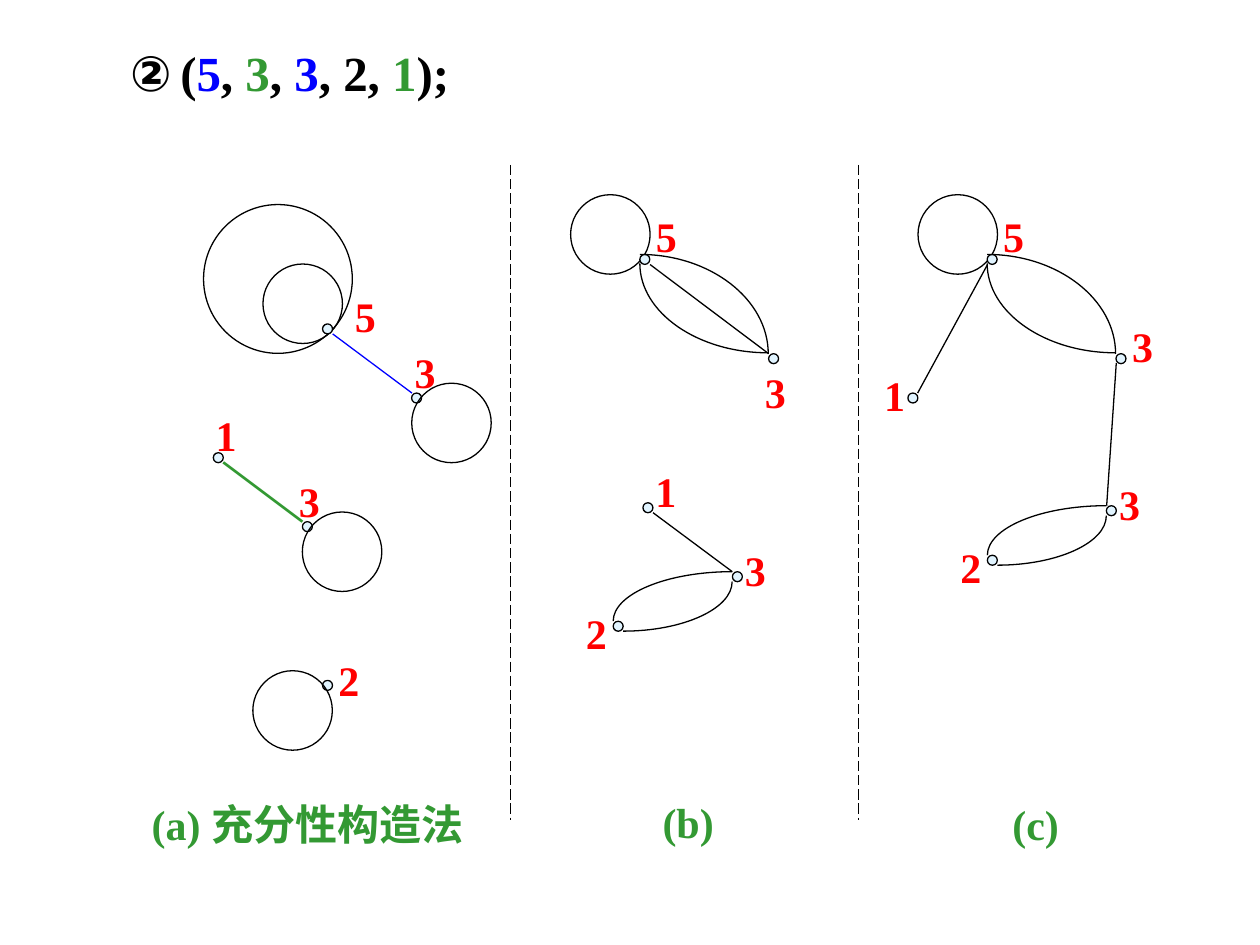
"""Build a slide that realises the degree sequence (5, 3, 3, 2, 1) as three multigraphs."""
from dataclasses import dataclass

from lxml import etree
from pptx import Presentation
from pptx.dml.color import RGBColor
from pptx.enum import dml, shapes, text
from pptx.oxml import ns
from pptx.util import Pt

BLACK = RGBColor(0x00, 0x00, 0x00)
BLUE = RGBColor(0x00, 0x00, 0xFF)
GREEN = RGBColor(0x33, 0x99, 0x33)
RED = RGBColor(0xFF, 0x00, 0x00)
PALE_BLUE = RGBColor(0xE1, 0xF4, 0xFF)

SERIF = "Times New Roman"
SANS = "Arial"
VERTEX_SIZE = 5.7
LOOP_SIZE = 45.4
LABEL_WIDTH, LABEL_HEIGHT = 25.9, 36
PANEL_SHIFT = 198.5
CURVATURE = 0.55


@dataclass(frozen=True)
class Vertex:
    degree: str
    x: float
    y: float
    label_x: float
    label_y: float


@dataclass(frozen=True)
class Loop:
    x: float
    y: float
    size: float = LOOP_SIZE


@dataclass(frozen=True)
class Edge:
    x1: float
    y1: float
    x2: float
    y2: float
    color: RGBColor = BLACK
    width: float = 0.75
    dashed: bool = False


@dataclass(frozen=True)
class Arc:
    center_x: float
    center_y: float
    radius_x: float
    radius_y: float


@dataclass(frozen=True)
class Graph:
    vertices: tuple[Vertex, ...]
    edges: tuple[Edge, ...]
    arcs: tuple[Arc, ...] = ()
    back_loops: tuple[Loop, ...] = ()
    front_loops: tuple[Loop, ...] = ()


@dataclass(frozen=True)
class Word:
    content: str
    color: RGBColor = BLACK
    size: float = 28
    font: str = SERIF


@dataclass(frozen=True)
class Caption:
    x: float
    y: float
    width: float
    word: Word


def upper_lens(x: float, y: float) -> tuple[Arc, Arc]:
    return Arc(x, y + 56.9, 73.4, -56.9), Arc(x + 73.4, y + 5.1, -73.4, 51.1)


def lower_lens(x: float, y: float) -> tuple[Arc, Arc]:
    return Arc(x + 5.7, y + 5.7, 62.3, 28.3), Arc(x + 68, y + 28.3, -68, -28.3)


GRAPHS = (
    Graph(
        vertices=(
            Vertex("5", 184.3, 185.1, 195.8, 162.5),
            Vertex("3", 235.2, 224.6, 229.9, 194.4),
            Vertex("1", 121.9, 258.7, 116.2, 230.4),
            Vertex("3", 172.8, 298.1, 163.7, 268.3),
            Vertex("2", 184.3, 388.8, 186.3, 370.6),
        ),
        edges=(
            Edge(190.1, 190.8, 235.4, 224.6, BLUE),
            Edge(127.6, 264.2, 172.8, 298.1, GREEN, 1.5),
        ),
        back_loops=(Loop(116.3, 116.9, 85), Loop(150.3, 150.9)),
        front_loops=(Loop(235.3, 219), Loop(172.8, 292.6), Loop(144.5, 383.3)),
    ),
    Graph(
        vertices=(
            Vertex("5", 365.6, 145.4, 367.7, 116.6),
            Vertex("3", 439.2, 202.1, 430, 205.9),
            Vertex("1", 367.4, 287.3, 367.5, 262.6),
            Vertex("3", 418.5, 326.7, 418.6, 307.4),
            Vertex("2", 350.4, 355, 327.8, 343.4),
        ),
        edges=(
            Edge(371.5, 151.2, 439.2, 202.1),
            Edge(373.2, 293, 418.5, 326.7),
        ),
        arcs=upper_lens(365.6, 145.4) + lower_lens(350.4, 326.7),
        back_loops=(Loop(326.1, 111.3),),
    ),
    Graph(
        vertices=(
            Vertex("5", 365.6 + PANEL_SHIFT, 145.4, 367.7 + PANEL_SHIFT, 116.6),
            Vertex("3", 637.7, 202.1, 639.8, 179.8),
            Vertex("1", 518.8, 224.6, 498.2, 207.4),
            Vertex("3", 632.2, 289, 632.4, 270),
            Vertex("2", 564.2, 317.3, 541.7, 306),
        ),
        edges=(
            Edge(564.3, 151.2, 524.4, 224.6),
            Edge(637.9, 207.4, 632.4, 289),
        ),
        arcs=upper_lens(365.6 + PANEL_SHIFT, 145.4) + lower_lens(564.2, 289),
        back_loops=(Loop(326.1 + PANEL_SHIFT, 111.3),),
    ),
)

DIVIDERS = tuple(
    Edge(x, 94.3, x, 468.7, dashed=True) for x in (291.9, 291.9 + PANEL_SHIFT)
)

TITLE = (
    Word(" ②", font=SANS), Word(" ", size=18, font=SANS), Word("("),
    Word("5", BLUE), Word(", "), Word("3", GREEN), Word(", "),
    Word("3", BLUE), Word(", 2, "), Word("1", GREEN), Word(");"),
)

CAPTIONS = (
    Caption(79.6, 452.7, 198, Word("(a) 充分性构造法", GREEN, 24)),
    Caption(371.5, 451.4, 43.9, Word("(b)", GREEN, 24)),
    Caption(571.4, 452.7, 41, Word("(c)", GREEN, 24)),
)


def add_word(paragraph, word: Word) -> None:
    run = paragraph.add_run()
    run.text = word.content
    run.font.name = word.font
    run.font.size = Pt(word.size)
    run.font.bold = True
    run.font.color.rgb = word.color


def add_caption(slide, caption: Caption) -> None:
    box = slide.shapes.add_textbox(
        Pt(caption.x), Pt(caption.y), Pt(caption.width), Pt(LABEL_HEIGHT))
    box.text_frame.word_wrap = False
    add_word(box.text_frame.paragraphs[0], caption.word)


def style_outline(shape, fill: RGBColor | None = None) -> None:
    shape.shadow.inherit = False
    shape.line.color.rgb = BLACK
    shape.line.width = Pt(0.75)
    if fill is None:
        shape.fill.background()
    else:
        shape.fill.solid()
        shape.fill.fore_color.rgb = fill


def add_circle(slide, x: float, y: float, size: float, fill: RGBColor | None = None) -> None:
    circle = slide.shapes.add_shape(
        shapes.MSO_SHAPE.OVAL, Pt(x), Pt(y), Pt(size), Pt(size))
    style_outline(circle, fill)


def add_edge(slide, edge: Edge) -> None:
    connector = slide.shapes.add_connector(
        shapes.MSO_CONNECTOR.STRAIGHT,
        Pt(edge.x1), Pt(edge.y1), Pt(edge.x2), Pt(edge.y2))
    connector.line.color.rgb = edge.color
    connector.line.width = Pt(edge.width)
    if edge.dashed:
        connector.line.dash_style = dml.MSO_LINE.LONG_DASH
    etree.SubElement(connector._element.spPr, ns.qn("a:effectLst"))


def add_arc(slide, arc: Arc) -> None:
    start, *curve = [
        (Pt(arc.center_x + arc.radius_x * across), Pt(arc.center_y + arc.radius_y * down))
        for across, down in ((1, 0), (1, CURVATURE), (CURVATURE, 1), (0, 1))
    ]
    builder = slide.shapes.build_freeform(*start)
    builder.add_line_segments(curve, close=False)
    shape = builder.convert_to_shape()
    outline = next(shape._element.iter(ns.qn("a:path")))
    segments = outline.findall(ns.qn("a:lnTo"))
    bezier = etree.SubElement(outline, ns.qn("a:cubicBezTo"))
    for segment in segments:
        bezier.append(segment[0])
        outline.remove(segment)
    style_outline(shape)


def add_graph(slide, graph: Graph) -> None:
    for loop in graph.back_loops:
        add_circle(slide, loop.x, loop.y, loop.size)
    for edge in graph.edges:
        add_edge(slide, edge)
    for vertex in graph.vertices:
        add_circle(slide, vertex.x, vertex.y, VERTEX_SIZE, PALE_BLUE)
        label = Word(vertex.degree, RED, 24)
        add_caption(slide, Caption(vertex.label_x, vertex.label_y, LABEL_WIDTH, label))
    for loop in graph.front_loops:
        add_circle(slide, loop.x, loop.y, loop.size)
    for arc in graph.arcs:
        add_arc(slide, arc)


def add_title(slide) -> None:
    title = slide.shapes.title
    title.left, title.top, title.width, title.height = Pt(59.4), Pt(20.7), Pt(218.9), Pt(41)
    frame = title.text_frame
    frame.auto_size = text.MSO_AUTO_SIZE.NONE
    frame.word_wrap = False
    frame.vertical_anchor = text.MSO_ANCHOR.TOP
    frame.paragraphs[0].alignment = text.PP_ALIGN.LEFT
    for word in TITLE:
        add_word(frame.paragraphs[0], word)


def main() -> None:
    presentation = Presentation()
    presentation.slide_width, presentation.slide_height = Pt(720), Pt(540)
    slide = presentation.slides.add_slide(presentation.slide_layouts[5])
    add_title(slide)
    for graph in GRAPHS:
        add_graph(slide, graph)
    for divider in DIVIDERS:
        add_edge(slide, divider)
    for caption in CAPTIONS:
        add_caption(slide, caption)
    presentation.save("out.pptx")


if __name__ == "__main__":
    main()
